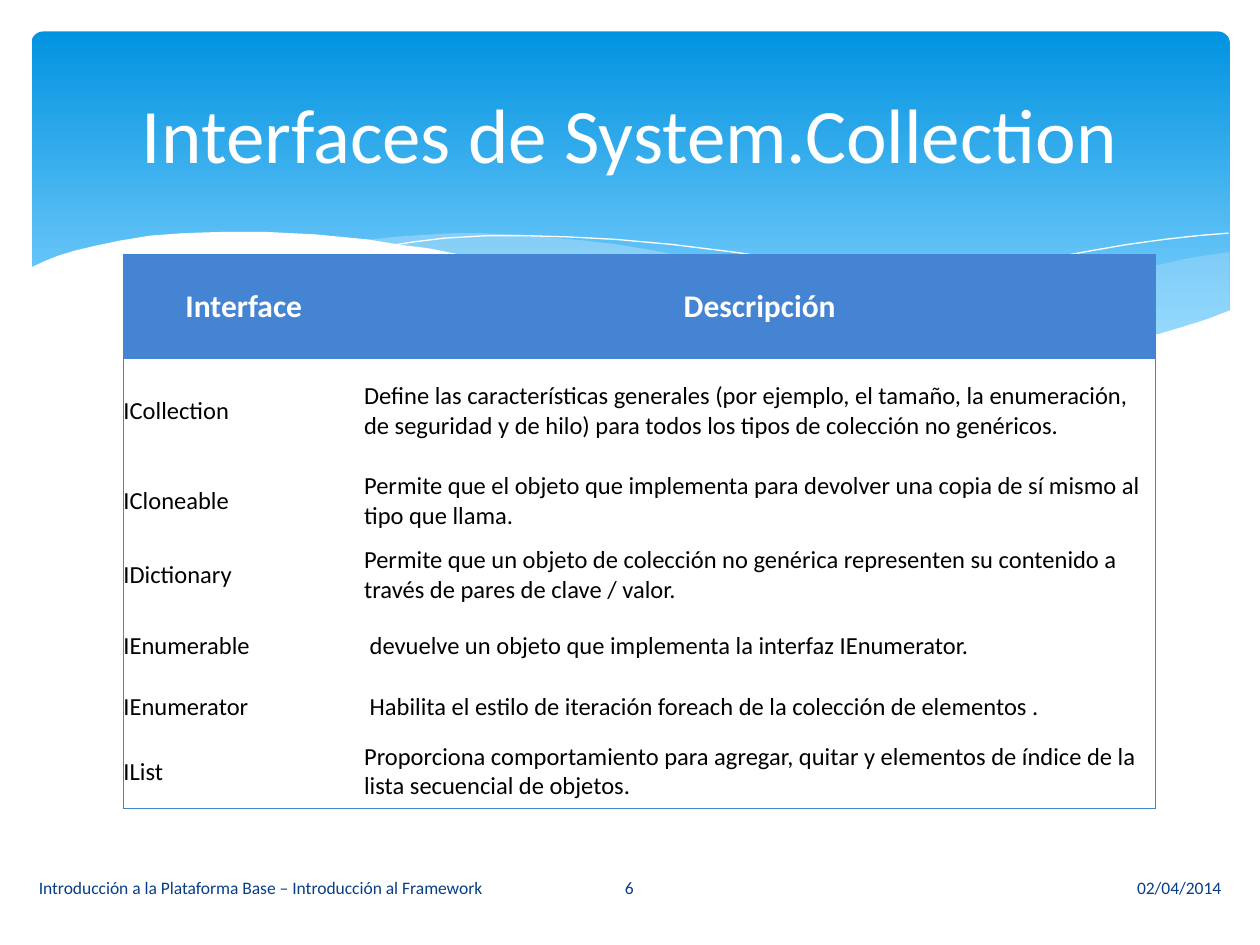
from lxml import etree
from pptx import Presentation
from pptx.dml.color import RGBColor
from pptx.enum.shapes import MSO_SHAPE
from pptx.enum.text import MSO_ANCHOR, PP_ALIGN
from pptx.oxml.ns import qn
from pptx.util import Inches, Pt

LEFT, CENTER, RIGHT = PP_ALIGN.LEFT, PP_ALIGN.CENTER, PP_ALIGN.RIGHT
MIDDLE = MSO_ANCHOR.MIDDLE
ROUNDED = MSO_SHAPE.ROUNDED_RECTANGLE
COLUMNS, ROWS = 10, 7.5
TITLE_ONLY = 5
NO_TABLE_STYLE = "{2D5ABB26-0587-4C30-8999-92F81FD0307C}"
WHITE, BLACK, NAVY, BLUE, PALE = "FFFFFF", "000000", "073E87", "4584D3", "C6E7FC"

# Wave outlines, as (column, row) points
RIGHT_WAVE = [
    (9.76, 2), (9.48, 2.04), (9.21, 2.1), (8.91, 2.16), (8.61, 2.23), (8.05, 2.37),
    (7.53, 2.48), (7.06, 2.57), (6.61, 2.65), (6.91, 2.69), (7.19, 2.72), (7.45, 2.75),
    (7.69, 2.77), (8.03, 2.78), (8.35, 2.77), (8.63, 2.75), (8.89, 2.72), (9.13, 2.67),
    (9.35, 2.62), (9.49, 2.57), (9.63, 2.52), (9.76, 2.47)]
MIDDLE_WAVE = [
    (8.93, 2.73), (8.66, 2.69), (8.37, 2.65), (8.07, 2.6), (7.75, 2.54), (7.41, 2.47),
    (7.06, 2.4), (6.68, 2.31), (6.29, 2.22), (5.98, 2.14), (5.69, 2.08), (5.41, 2.03),
    (5.14, 1.98), (4.89, 1.94), (4.65, 1.91), (4.42, 1.89), (4.2, 1.87), (3.99, 1.86),
    (3.8, 1.85), (3.61, 1.85), (3.44, 1.86), (3.13, 1.88), (2.86, 1.91), (3.23, 1.96),
    (3.62, 2.03), (4.04, 2.11), (4.49, 2.22), (4.91, 2.32), (5.3, 2.4), (5.66, 2.48),
    (6.01, 2.55), (6.34, 2.61), (6.65, 2.66), (6.95, 2.7), (7.22, 2.74), (7.48, 2.76),
    (7.85, 2.78), (8.28, 2.78), (8.57, 2.77), (8.76, 2.75)]
LONG_LINE = [
    (3.09, 1.95), (3.28, 1.92), (3.53, 1.89), (3.87, 1.87), (4.16, 1.87), (4.5, 1.88),
    (4.89, 1.9), (5.33, 1.94), (5.82, 2), (6.36, 2.08), (6.95, 2.19), (7.6, 2.33),
    (8.31, 2.51), (9.07, 2.72)]
RIGHT_LINE = [
    (6.13, 2.57), (6.53, 2.46), (6.95, 2.35), (7.48, 2.23), (8.06, 2.1), (8.66, 1.99),
    (8.95, 1.94), (9.24, 1.9), (9.51, 1.87), (9.75, 1.85)]
WHITE_WAVE = [
    (9.77, 2.46), (9.59, 2.53), (9.4, 2.59), (9.2, 2.65), (8.99, 2.69), (8.75, 2.73),
    (8.5, 2.75), (8.23, 2.77), (7.93, 2.76), (7.61, 2.75), (7.26, 2.72), (6.88, 2.68),
    (6.48, 2.62), (6.03, 2.54), (5.55, 2.45), (5.03, 2.33), (4.47, 2.2), (4.18, 2.13),
    (3.91, 2.07), (3.65, 2.02), (3.4, 1.97), (3.16, 1.94), (2.92, 1.9), (2.71, 1.88),
    (2.5, 1.86), (2.3, 1.85), (2.11, 1.84), (1.77, 1.84), (1.46, 1.85), (1.19, 1.87),
    (0.95, 1.91), (0.76, 1.95), (0.59, 1.99), (0.46, 2.03), (0.36, 2.07), (0.23, 2.13),
    (0.23, 3.29), (9.77, 3.29)]

INTERFACES = [
    ("Interface", "Descripción"),
    ("ICollection", "Define las características generales (por ejemplo, el tamaño, la "
     "enumeración, de seguridad y de hilo) para todos los tipos de colección no genéricos."),
    ("ICloneable", "Permite que el objeto que implementa para devolver una copia de sí "
     "mismo al tipo que llama."),
    ("IDictionary", "Permite que un objeto de colección no genérica representen su "
     "contenido a través de pares de clave / valor."),
    ("IEnumerable", " devuelve un objeto que implementa la interfaz IEnumerator."),
    ("IEnumerator", " Habilita el estilo de iteración foreach de la colección de elementos ."),
    ("IList", "Proporciona comportamiento para agregar, quitar y elementos de índice de "
     "la lista secuencial de objetos."),
]


def color(value):
    return RGBColor.from_string(value)


def write(frame, text, size=14, ink=BLACK, bold=False, align=LEFT):
    paragraph = frame.paragraphs[0]
    paragraph.alignment = align
    run = paragraph.add_run()
    run.text = text
    run.font.name = "Calibri"
    run.font.size = Pt(size)
    run.font.bold = bold
    run.font.color.rgb = color(ink)


class SlideBuilder:
    def __init__(self, presentation):
        self.column = presentation.slide_width / COLUMNS
        self.row = presentation.slide_height / ROWS
        self.slide = presentation.slides.add_slide(presentation.slide_layouts[TITLE_ONLY])
        self.shapes = self.slide.shapes

    def place(self, left, top, width, height):
        return [round(left * self.column), round(top * self.row),
                round(width * self.column), round(height * self.row)]

    def gradient_panel(self, box, start, end):
        shape = self.shapes.add_shape(ROUNDED, *self.place(*box))
        shape.shadow.inherit = False
        shape.adjustments[0] = 0.034
        shape.line.fill.background()
        shape.fill.gradient()
        shape.fill.gradient_angle = 270
        for stop, value, position in zip(shape.fill.gradient_stops, (start, end), (0, 0.9)):
            stop.color.rgb = color(value)
            stop.position = position

    def curve(self, points, fill=None, opacity=100):
        corners = [(round(x * self.column), round(y * self.row)) for x, y in points]
        builder = self.shapes.build_freeform(*corners[0])
        builder.add_line_segments(corners[1:], close=fill is not None)
        shape = builder.convert_to_shape()
        shape.shadow.inherit = False
        if fill is None:
            shape.fill.background()
            shape.line.color.rgb = color(WHITE)
            shape.line.width = 0
            return
        shape.line.fill.background()
        shape.fill.solid()
        shape.fill.fore_color.rgb = color(fill)
        if opacity < 100:
            tone = shape.element.spPr.find(".//" + qn("a:srgbClr"))
            etree.SubElement(tone, qn("a:alpha"), val=str(opacity * 1000))

    def title(self, text, box):
        shape = self.shapes.title
        shape.left, shape.top, shape.width, shape.height = self.place(*box)
        shape.text_frame.vertical_anchor = MIDDLE
        write(shape.text_frame, text, size=44, ink=WHITE, align=CENTER)
        shape.element.getparent().append(shape.element)  # bring to front

    def label(self, text, box, align):
        frame = self.shapes.add_textbox(*self.place(*box)).text_frame
        frame.word_wrap = True
        frame.vertical_anchor = MIDDLE
        write(frame, text, size=10, ink=NAVY, align=align)

    def border(self, cell, sides):
        properties = cell._tc.get_or_add_tcPr()
        for index, side in enumerate(sides):
            line = etree.Element(qn("a:ln" + side), w=str(Pt(0.75)))
            fill = etree.SubElement(line, qn("a:solidFill"))
            etree.SubElement(fill, qn("a:srgbClr"), val=BLUE)
            properties.insert(index, line)

    def table(self, data, left, top, widths, heights):
        box = self.place(left, top, sum(widths), sum(heights))
        table = self.shapes.add_table(len(data), len(widths), *box).table
        table._tbl.tblPr.find(qn("a:tableStyleId")).text = NO_TABLE_STYLE
        table.horz_banding = False
        for column, width in zip(table.columns, widths):
            column.width = round(width * self.column)
        for index, (row, height) in enumerate(zip(table.rows, heights)):
            row.height = round(height * self.row)
            header, last = index == 0, index == len(data) - 1
            for side, cell, text in zip("LR", row.cells, data[index]):
                cell.margin_left = cell.margin_right = 0
                cell.margin_top = cell.margin_bottom = 0
                cell.vertical_anchor = MIDDLE
                if header:
                    cell.fill.solid()
                    cell.fill.fore_color.rgb = color(BLUE)
                    write(cell.text_frame, text, size=18, ink=WHITE, bold=True, align=CENTER)
                else:
                    cell.fill.background()
                    write(cell.text_frame, text)
                self.border(cell, side + "T" * header + "B" * last)


def main():
    presentation = Presentation()
    presentation.slide_width, presentation.slide_height = Inches(10), Inches(7.5)
    builder = SlideBuilder(presentation)

    # Banner with waves
    builder.gradient_panel((0.25, 0.25, 9.51, 2.7), "0293E0", "83D3FE")
    builder.curve(RIGHT_WAVE, PALE, opacity=29)
    builder.curve(MIDDLE_WAVE, PALE, opacity=40)
    builder.curve(LONG_LINE)
    builder.curve(RIGHT_LINE)
    builder.curve(WHITE_WAVE, WHITE)

    # Footer
    builder.label("02/04/2014", (5.65, 6.84, 4.14, 0.4), RIGHT)
    builder.label("Introducción a la Plataforma Base – Introducción al Framework",
                  (0.21, 6.84, 4.14, 0.4), LEFT)
    builder.label("6", (4.36, 6.84, 1.27, 0.4), CENTER)

    # Title and table
    builder.title("Interfaces de System.Collection", (0.5, 0.37, 9, 1.37))
    builder.table(INTERFACES, 0.98, 2.02, widths=(1.91, 6.28),
                  heights=(0.83, 0.83, 0.59, 0.59, 0.53, 0.44, 0.59))
    presentation.save("out.pptx")


if __name__ == "__main__":
    main()
